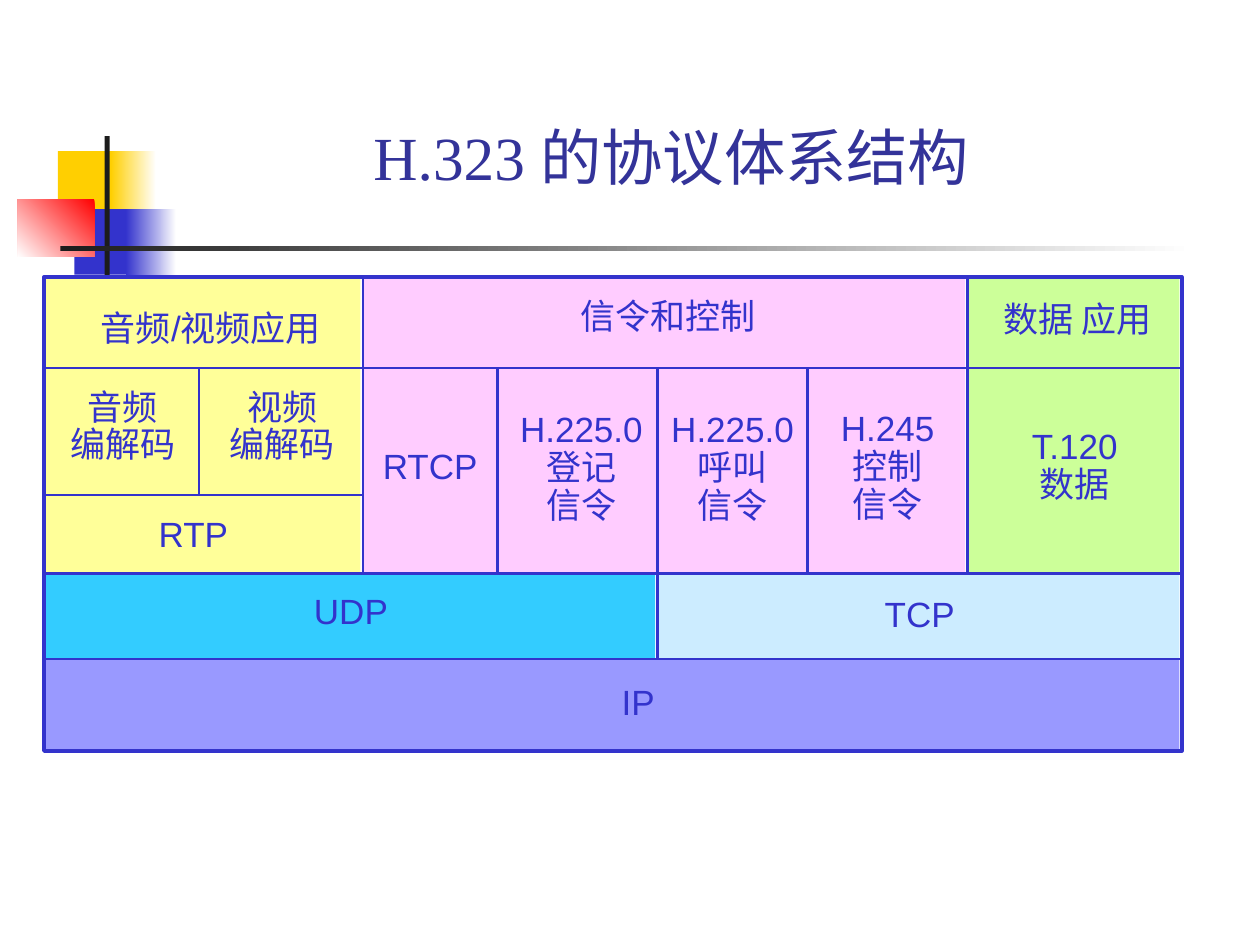
from lxml.etree import SubElement
from pptx import Presentation
from pptx.dml.color import RGBColor
from pptx.enum.shapes import MSO_CONNECTOR as Connector, MSO_SHAPE as Shape
from pptx.enum.text import MSO_ANCHOR as Anchor, MSO_AUTO_SIZE as AutoSize, PP_ALIGN as Align
from pptx.oxml.ns import qn
from pptx.util import Inches, Pt

COLORS = {
    "title": "333399", "line": "3333CC", "white": "FFFFFF", "black": "1C1C1C",
    "gold": "FFCF01", "red": "FF0000", "media": "FFFF99", "signal": "FFCCFF",
    "data": "CCFF99", "udp": "33CCFF", "tcp": "CCECFF", "ip": "9999FF",
}

# Protocol grid: column and row edges, in inches from the diagram's corner
COLUMNS = [0, 1.23, 2.53, 3.6, 4.87, 6.06, 7.33, 9.03]
ROWS = [0, 0.72, 1.73, 2.35, 3.03, 3.76]
GAP = 0.02

# Fills: colour, then the grid edges left, top, right, bottom
BLOCKS = [
    ("ip", 0, 4, 7, 5), ("tcp", 4, 3, 7, 4), ("udp", 0, 3, 4, 4),
    ("media", 0, 0, 2, 3), ("data", 6, 0, 7, 3), ("signal", 2, 0, 6, 3),
]

# Dividers: grid edges of the start and the end
DIVIDERS = [
    (0, 1, 7, 1), (0, 2, 2, 2), (0, 3, 7, 3), (0, 4, 7, 4),
    (1, 1, 1, 2), (2, 0, 2, 3), (3, 1, 3, 3), (4, 1, 4, 4),
    (5, 1, 5, 3), (6, 0, 6, 3),
]

# Labels: text, grid edges, text width, shift from the cell's centre
LABELS = [
    ("音频/视频应用", (0, 0, 2, 1), 2.4, (0.06, 0.04)),
    ("信令和控制", (2, 0, 6, 1), 1.59, (0.02, -0.05)),
    ("数据 应用", (6, 0, 7, 1), 1.37, (0.02, -0.03)),
    ("音频\n编解码", (0, 1, 1, 2), 1.03, (0.01, -0.02)),
    ("视频\n编解码", (1, 1, 2, 2), 1.03, (0.01, -0.02)),
    ("RTP", (0, 2, 2, 3), 0.75, (-0.08, 0)),
    ("RTCP", (2, 1, 3, 3), 0.96, (0, -0.04)),
    ("H.225.0\n登记\n信令", (3, 1, 4, 3), 1.17, (0.03, -0.01)),
    ("H.225.0\n呼叫\n信令", (4, 1, 5, 3), 1.17, (0, -0.01)),
    ("H.245\n控制\n信令", (5, 1, 6, 3), 0.94, (0, -0.02)),
    ("T.120\n数据", (6, 1, 7, 3), 0.91, (0, -0.02)),
    ("UDP", (0, 3, 4, 4), 0.79, (0, -0.04)),
    ("TCP", (4, 3, 7, 4), 0.75, (0, -0.02)),
    ("IP", (0, 4, 7, 5), 0.46, (0.2, -0.02)),
]


def color(name):
    return RGBColor.from_string(COLORS[name])


def add_rectangle(slide, left, top, width, height, fill=None):
    shape = slide.shapes.add_shape(
        Shape.RECTANGLE, Inches(left), Inches(top), Inches(width), Inches(height))
    shape.shadow.inherit = False
    shape.line.fill.background()
    if fill:
        shape.fill.solid()
        shape.fill.fore_color.rgb = color(fill)
    else:
        shape.fill.background()
    return shape


def set_gradient(shape, start, end, angle):
    shape.fill.gradient()
    shape.fill.gradient_angle = angle
    for stop, name in zip(shape.fill.gradient_stops, (start, end)):
        stop.color.rgb = color(name)


def add_ornament(slide, left, top):
    """Coloured squares crossed by a vertical and a fading bar."""
    parts = [
        (0.32, 0.12, 0.48, 0.52, "gold", None),
        (0.74, 0.12, 0.36, 0.52, "gold", 0),
        (0.45, 0.58, 0.46, 0.52, "line", None),
        (0.86, 0.58, 0.40, 0.52, "line", 0),
        (0, 0.50, 0.61, 0.46, "red", 225),
        (0.69, 0, 0.04, 1.15, "black", None),
        (0.34, 0.87, 9, 0.04, "black", 0),
    ]
    for x, y, width, height, name, angle in parts:
        shape = add_rectangle(slide, left + x, top + y, width, height, name)
        if angle is not None:
            set_gradient(shape, name, "white", angle)


def add_title(slide, left, top, width, height):
    title = slide.shapes.title
    title.left, title.top = Inches(left), Inches(top)
    title.width, title.height = Inches(width), Inches(height)
    frame = title.text_frame
    frame.text = "H.323 的协议体系结构"
    frame.vertical_anchor = Anchor.BOTTOM
    frame.margin_right = Inches(0.24)
    frame.margin_bottom = Inches(0.07)
    paragraph = frame.paragraphs[0]
    paragraph.alignment = Align.CENTER
    font = paragraph.runs[0].font
    font.name, font.size = "Times New Roman", Pt(35)
    font.color.rgb = color("title")


def add_label(slide, text, center_x, center_y, width):
    line_count = text.count("\n") + 1
    height = 0.16 + 0.28 * line_count
    box = slide.shapes.add_textbox(
        Inches(center_x - width / 2), Inches(center_y - height / 2),
        Inches(width), Inches(height))
    frame = box.text_frame
    frame.text = text
    frame.word_wrap = False
    frame.auto_size = AutoSize.SHAPE_TO_FIT_TEXT
    frame.margin_left = frame.margin_right = Inches(0.05)
    for paragraph in frame.paragraphs:
        paragraph.alignment = Align.CENTER
        if line_count > 1:
            paragraph.line_spacing = 0.9
        font = paragraph.runs[0].font
        font.name, font.size = "Arial", Pt(20)
        font.color.rgb = color("line")


def add_divider(slide, start_x, start_y, end_x, end_y):
    divider = slide.shapes.add_connector(
        Connector.STRAIGHT, Inches(start_x), Inches(start_y),
        Inches(end_x), Inches(end_y))
    divider.line.color.rgb = color("line")
    divider.line.width = Pt(1.5)
    SubElement(divider._element.spPr, qn("a:effectLst"))


def add_protocol_stack(slide, left, top):
    def edges(x1, y1, x2, y2):
        return (left + COLUMNS[x1], top + ROWS[y1],
                left + COLUMNS[x2], top + ROWS[y2])

    # Coloured blocks
    for name, *cell in BLOCKS:
        x1, y1, x2, y2 = edges(*cell)
        add_rectangle(slide, x1, y1, x2 - x1 - GAP, y2 - y1, name)

    # Outer frame
    frame = add_rectangle(slide, left, top, COLUMNS[-1], ROWS[-1])
    frame.line.color.rgb = color("line")
    frame.line.width = Pt(2.25)

    # Dividers and labels
    for cell in DIVIDERS:
        add_divider(slide, *edges(*cell))
    for text, cell, width, (shift_x, shift_y) in LABELS:
        x1, y1, x2, y2 = edges(*cell)
        add_label(slide, text, (x1 + x2) / 2 + shift_x,
                  (y1 + y2) / 2 + shift_y, width)


def main():
    presentation = Presentation()
    presentation.slide_width, presentation.slide_height = Inches(10), Inches(7.5)
    slide = presentation.slides.add_slide(presentation.slide_layouts[5])
    add_ornament(slide, 0.14, 1.08)
    add_title(slide, 1.14, 0, 8.52, 1.6)
    add_protocol_stack(slide, 0.35, 2.2)
    presentation.save("out.pptx")


if __name__ == "__main__":
    main()
